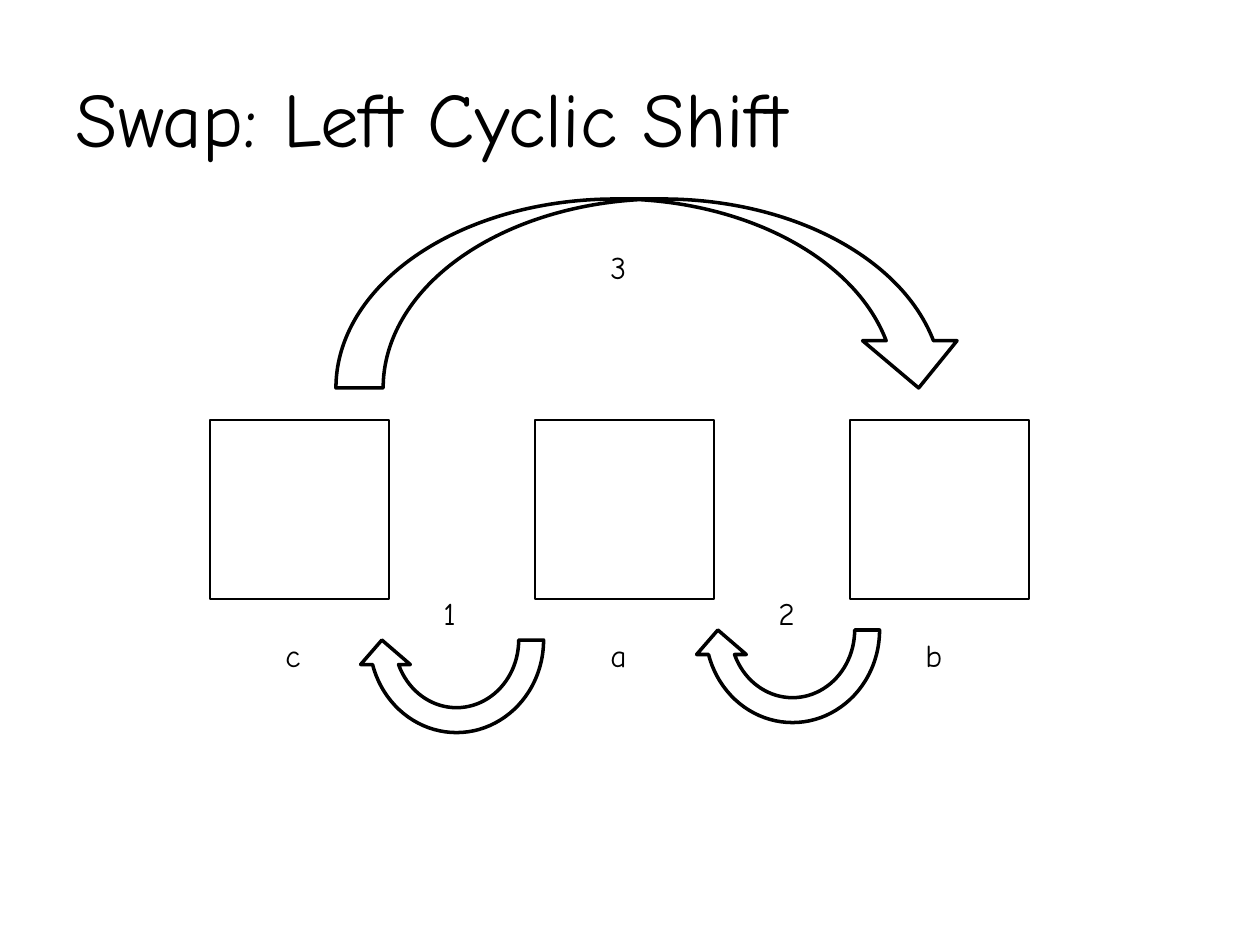
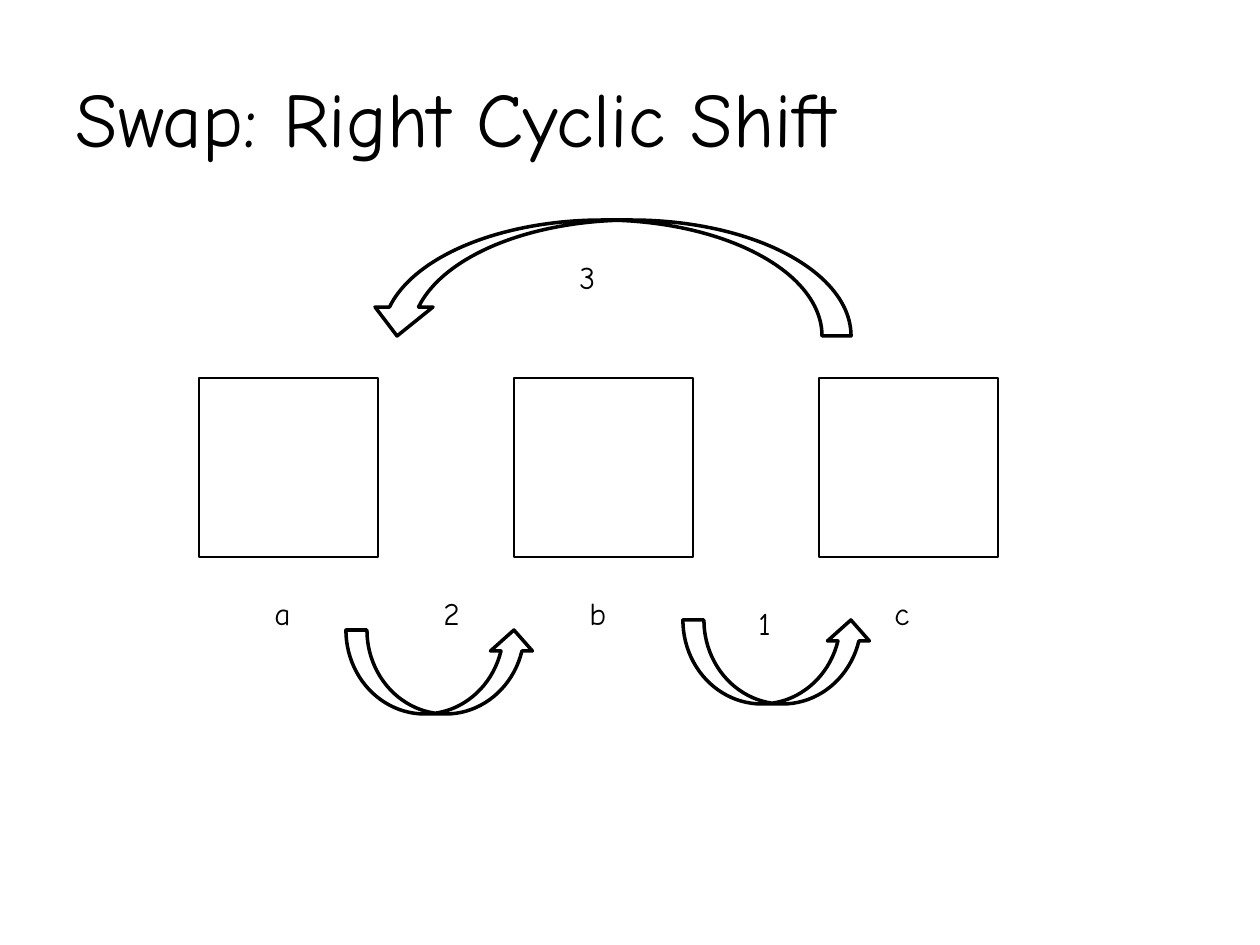
"""Build two slides that show left and right cyclic shifts of three variables."""
from pptx import Presentation, util as u
from pptx.dml.color import RGBColor
from pptx.enum import shapes, text

SCALE = 914400 // 126
FONT = "Comic Neue"
COLORS = {"ink": "000000"}
BOX, NAME_DX, NAME_DY = 179, 63, 210
LABEL_W, LABEL_H = 63, 52
MSO = shapes.MSO_SHAPE

SLIDES = [
    {
        "title": "Swap: Left Cyclic Shift",
        "top": 420,
        "boxes": [("c", 210), ("a", 535), ("b", 850)],
        "arrows": [
            (MSO.CURVED_DOWN_ARROW, 336, 199, 630, 189, 0),
            (MSO.CIRCULAR_ARROW, 693, 525, 199, 210, 180),
            (MSO.CIRCULAR_ARROW, 357, 535, 199, 210, 180),
        ],
        "steps": [("1", 431, 588), ("2", 766, 588), ("3", 598, 242)],
    },
    {
        "title": "Swap: Right Cyclic Shift",
        "top": 378,
        "boxes": [("a", 199), ("b", 514), ("c", 819)],
        "arrows": [
            (MSO.CURVED_UP_ARROW, 683, 620, 189, 84, 0),
            (MSO.CURVED_UP_ARROW, 346, 630, 189, 84, 0),
            (MSO.CURVED_UP_ARROW, 368, 220, 483, 116, 180),
        ],
        "steps": [("1", 746, 598), ("2", 431, 588), ("3", 567, 252)],
    },
]


def emu(*pixels):
    return [u.Emu(n * SCALE) for n in pixels]


def color(name):
    return RGBColor.from_string(COLORS[name])


def write(tf, words, size):
    p = tf.paragraphs[0]
    p.text = words
    p.alignment = text.PP_ALIGN.LEFT
    p.font.name = FONT
    p.font.size = u.Pt(size)
    p.font.color.rgb = color("ink")


def add_title(s, words):
    sp = s.shapes.title
    sp.left, sp.top, sp.width, sp.height = emu(63, 38, 1134, 157)
    sp.text_frame.vertical_anchor = text.MSO_ANCHOR.MIDDLE
    write(sp.text_frame, words, 44)


def add_outline(s, kind, x, y, w, h, weight, rotation=0):
    sp = s.shapes.add_shape(kind, *emu(x, y, w, h))
    sp.shadow.inherit = False
    sp.fill.background()
    sp.line.color.rgb = color("ink")
    sp.line.width = u.Pt(weight)
    sp.rotation = rotation


def add_label(s, words, x, y, w=LABEL_W):
    tf = s.shapes.add_textbox(*emu(x, y, w, LABEL_H)).text_frame
    tf.word_wrap = True
    tf.auto_size = text.MSO_AUTO_SIZE.SHAPE_TO_FIT_TEXT
    write(tf, words, 18)


prs = Presentation()
prs.slide_width, prs.slide_height = emu(1260, 945)

for content in SLIDES:
    s = prs.slides.add_slide(prs.slide_layouts[5])
    add_title(s, content["title"])
    top = content["top"]
    for name, x in content["boxes"]:
        add_outline(s, MSO.RECTANGLE, x, top, BOX, BOX, 1)
        add_label(s, name, x + NAME_DX, top + NAME_DY, 136 if name == "b" else LABEL_W)
    for kind, x, y, w, h, rotation in content["arrows"]:
        add_outline(s, kind, x, y, w, h, 2, rotation)
    for step, x, y in content["steps"]:
        add_label(s, step, x, y)

prs.save("out.pptx")
